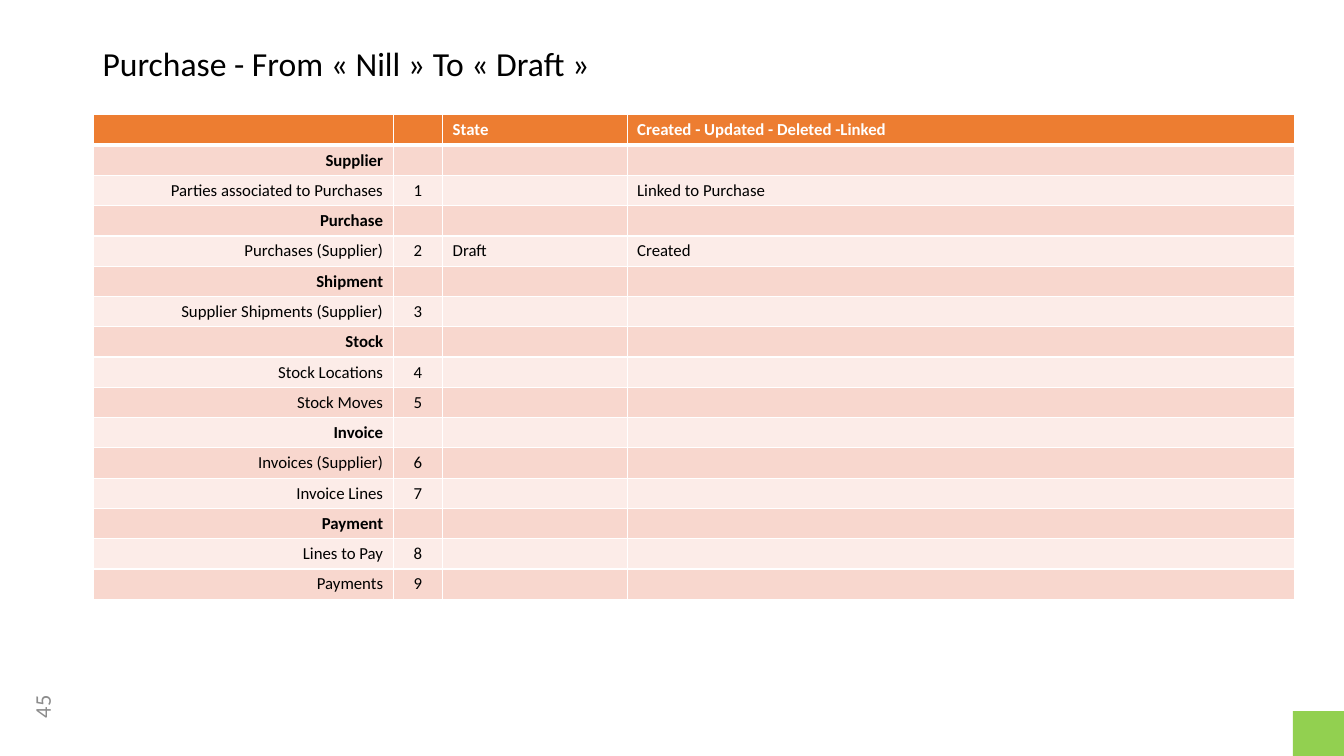
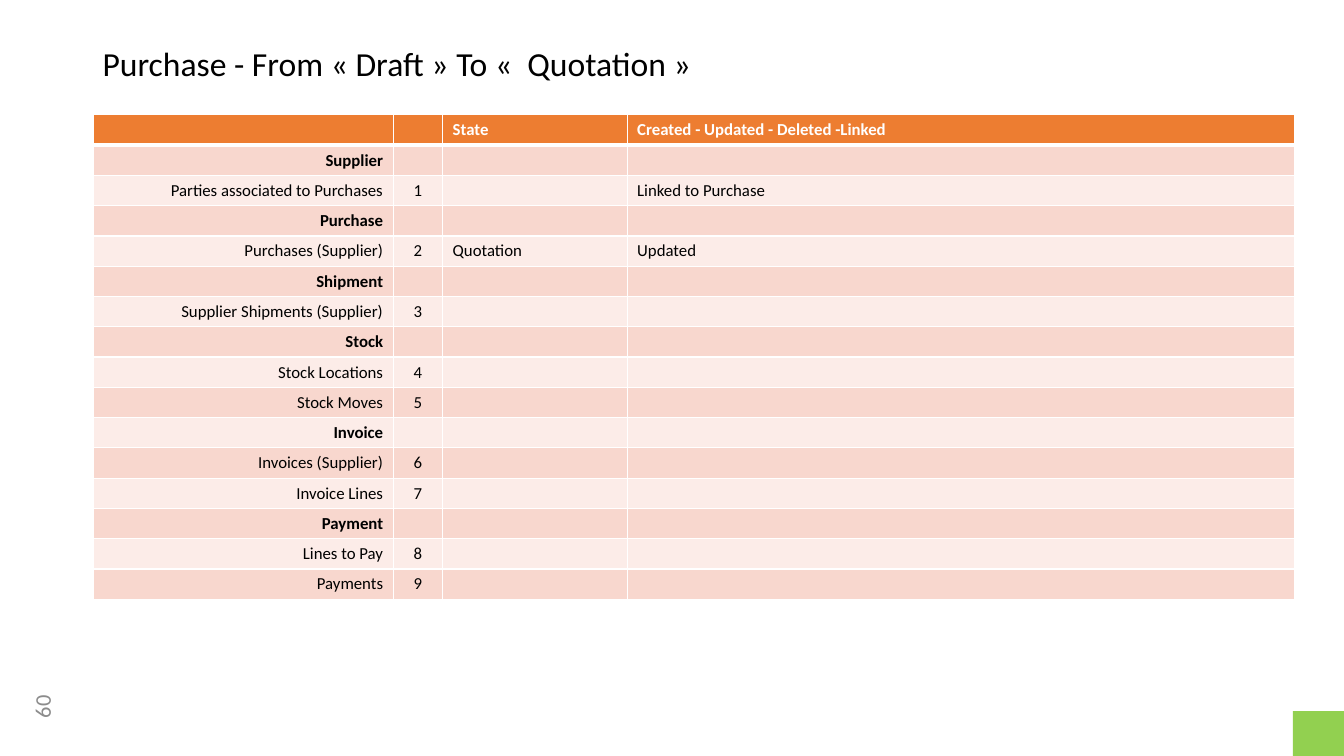
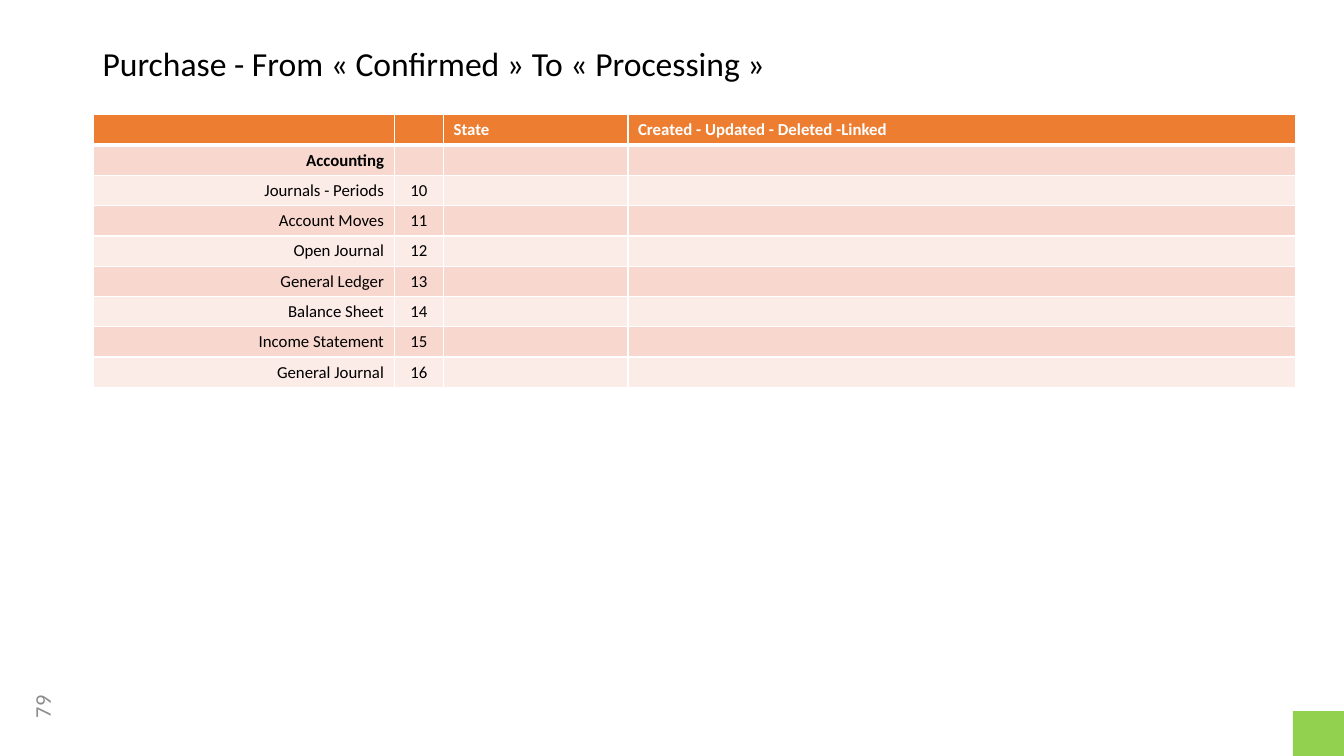
"""Builds three slides showing which records each purchase transition touches."""
from itertools import count

from lxml.etree import SubElement
from pptx import Presentation
from pptx.dml.color import RGBColor
from pptx.enum.shapes import MSO_SHAPE
from pptx.enum.text import MSO_ANCHOR, PP_ALIGN
from pptx.oxml.ns import qn
from pptx.util import Pt

BLACK = RGBColor(0x00, 0x00, 0x00)
WHITE = RGBColor(0xFF, 0xFF, 0xFF)
GREY = RGBColor(0x8C, 0x8C, 0x8C)
GREEN = RGBColor(0x92, 0xD0, 0x50)
ORANGE = RGBColor(0xED, 0x7D, 0x31)
DARK_BAND = RGBColor(0xF8, 0xD7, 0xCE)
LIGHT_BAND = RGBColor(0xFC, 0xEC, 0xE8)

HEADINGS = ("", "", "State", "Created - Updated - Deleted -Linked")
COLUMN_WIDTHS = (214.5, 35.3, 131.8, 476.6)
COLUMN_ALIGNS = (PP_ALIGN.RIGHT, PP_ALIGN.CENTER, PP_ALIGN.LEFT, PP_ALIGN.LEFT)
TABLE_TOP = 82
ROW_HEIGHT = 21.6
THIN, THICK = 1, 3

PURCHASE_FLOW = {
    "Supplier": ["Parties associated to Purchases"],
    "Purchase": ["Purchases (Supplier)"],
    "Shipment": ["Supplier Shipments (Supplier)"],
    "Stock": ["Stock Locations", "Stock Moves"],
    "Invoice": ["Invoices (Supplier)", "Invoice Lines"],
    "Payment": ["Lines to Pay", "Payments"],
}
ACCOUNTING = {
    "Accounting": [
        "Journals - Periods", "Account Moves", "Open Journal", "General Ledger",
        "Balance Sheet", "Income Statement", "General Journal",
    ],
}


class Deck:
    """Holds the shared style and the current slide."""

    font_name = "Calibri"

    def __init__(self):
        self.presentation = Presentation()
        self.presentation.slide_width = Pt(960)
        self.presentation.slide_height = Pt(540)
        self.slide = None

    def new_slide(self, title, number):
        self.slide = self.presentation.slides.add_slide(self.presentation.slide_layouts[6])
        self.text(number, 3, 490.3, 54, 29, 16, GREY, PP_ALIGN.CENTER).rotation = 270
        self.block(923.5, 508, 36.5, 32, GREEN)
        heading = self.text(title, 66.2, 28.8, 828, 36.7, 24, BLACK)
        heading.text_frame.paragraphs[0].line_spacing = 0.9

    def style(self, paragraph, size, color, align, bold=False):
        paragraph.alignment = align
        paragraph.font.name = self.font_name
        paragraph.font.size = Pt(size)
        paragraph.font.bold = bold
        paragraph.font.color.rgb = color

    def text(self, words, left, top, width, height, size, color, align=PP_ALIGN.LEFT):
        box = self.slide.shapes.add_textbox(Pt(left), Pt(top), Pt(width), Pt(height))
        frame = box.text_frame
        frame.word_wrap = True
        frame.vertical_anchor = MSO_ANCHOR.MIDDLE
        frame.text = words
        self.style(frame.paragraphs[0], size, color, align)
        return box

    def block(self, left, top, width, height, color):
        block = self.slide.shapes.add_shape(
            MSO_SHAPE.RECTANGLE, Pt(left), Pt(top), Pt(width), Pt(height))
        block.shadow.inherit = False
        block.fill.solid()
        block.fill.fore_color.rgb = color
        block.line.fill.background()

    def borders(self, cell, top, bottom):
        properties = cell._tc.get_or_add_tcPr()
        for side, width in (("L", THIN), ("R", THIN), ("T", top), ("B", bottom)):
            line = SubElement(properties, qn(f"a:ln{side}"), w=str(Pt(width)))
            SubElement(SubElement(line, qn("a:solidFill")), qn("a:srgbClr"), val=str(WHITE))

    def cell(self, cell, words, fill, color, align, bold, top=THIN, bottom=THIN):
        self.borders(cell, top, bottom)
        cell.fill.solid()
        cell.fill.fore_color.rgb = fill
        cell.text = words
        paragraph = cell.text_frame.paragraphs[0]
        self.style(paragraph, 12, color, align, bold)
        if not words:
            SubElement(paragraph._p, qn("a:endParaRPr"), sz="1200")

    def records_table(self, left, groups, first_number=1, changes=None):
        changes = changes or {}
        numbers = count(first_number)
        rows = []
        for group, records in groups.items():
            rows.append((group, "", "", ""))
            for record in records:
                rows.append((record, str(next(numbers)), *changes.get(record, ("", ""))))

        table = self.slide.shapes.add_table(
            len(rows) + 1, len(HEADINGS), Pt(left), Pt(TABLE_TOP),
            Pt(sum(COLUMN_WIDTHS)), Pt(ROW_HEIGHT * (len(rows) + 1))).table
        table.horz_banding = False
        for column, width in zip(table.columns, COLUMN_WIDTHS):
            column.width = Pt(width)
        for row in table.rows:
            row.height = Pt(ROW_HEIGHT)

        for column, heading in enumerate(HEADINGS):
            self.cell(table.cell(0, column), heading, ORANGE, WHITE,
                      PP_ALIGN.LEFT, True, bottom=THICK)
        for index, row in enumerate(rows, start=1):
            band = DARK_BAND if index % 2 else LIGHT_BAND
            top = THICK if index == 1 else THIN
            for column, (words, align) in enumerate(zip(row, COLUMN_ALIGNS)):
                self.cell(table.cell(index, column), words, band, BLACK,
                          align, row[0] in groups, top=top)


def main():
    deck = Deck()
    linked = ("", "Linked to Purchase")

    deck.new_slide("Purchase - From « Nill » To « Draft »", "45")
    deck.records_table(66.4, PURCHASE_FLOW, changes={
        "Parties associated to Purchases": linked,
        "Purchases (Supplier)": ("Draft", "Created"),
    })

    deck.new_slide("Purchase - From « Draft » To «  Quotation »", "60")
    deck.records_table(66.4, PURCHASE_FLOW, changes={
        "Parties associated to Purchases": linked,
        "Purchases (Supplier)": ("Quotation", "Updated"),
    })

    deck.new_slide("Purchase - From « Confirmed » To « Processing »", "79")
    deck.records_table(67, ACCOUNTING, first_number=10)

    deck.presentation.save("out.pptx")


if __name__ == "__main__":
    main()
